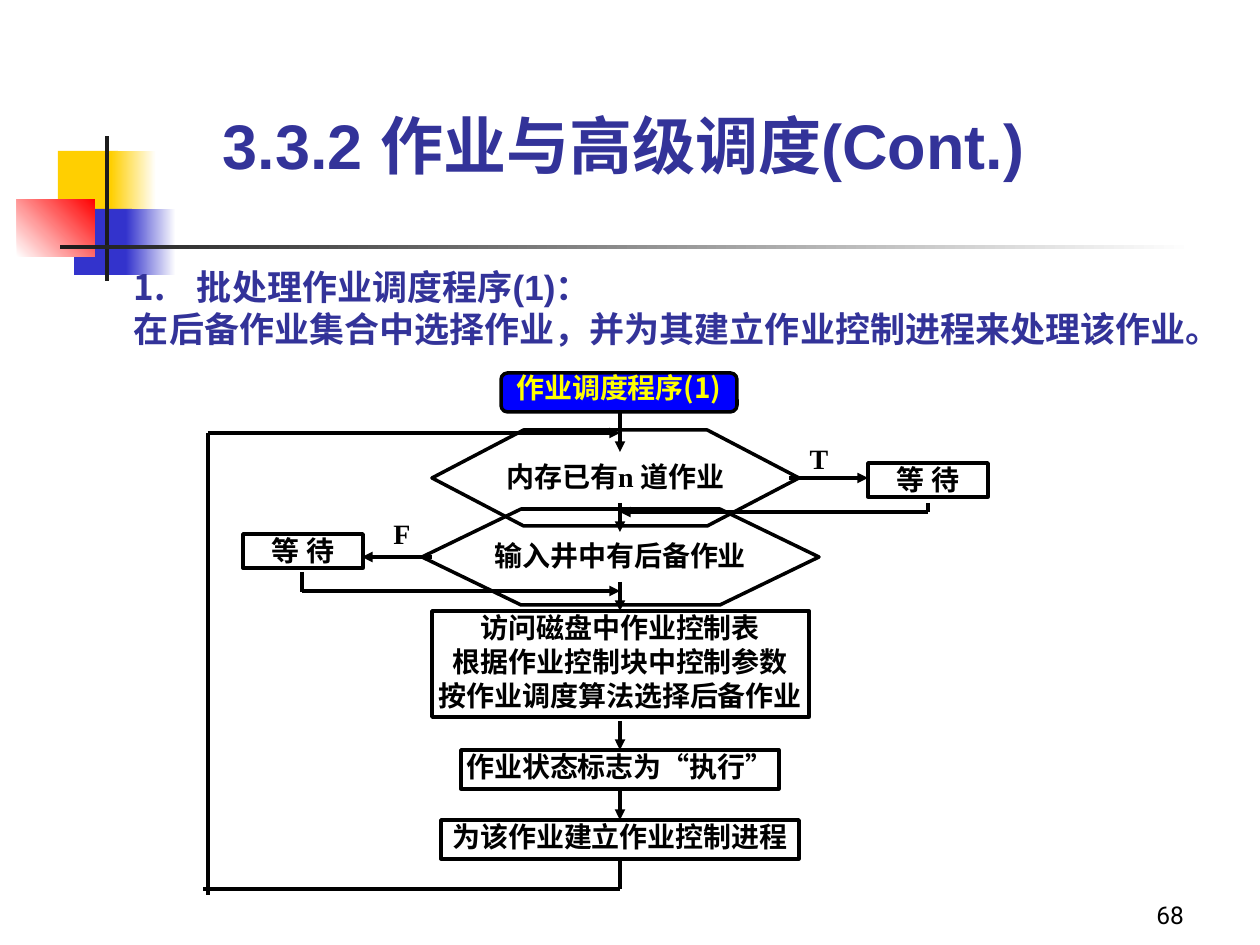
from lxml.etree import SubElement
from pptx import Presentation
from pptx.dml.color import RGBColor
from pptx.enum.shapes import MSO_CONNECTOR, MSO_SHAPE
from pptx.enum.text import MSO_ANCHOR, PP_ALIGN
from pptx.oxml.ns import qn
from pptx.util import Emu, Pt

EMU_PER_PX = 914400 / 126
CJK_FONT = "Noto Sans CJK SC"
SERIF = "Times New Roman"
BLACK, WHITE, NAVY, BLUE = "000000", "FFFFFF", "333399", "3333CC"
YELLOW, RED, CHARCOAL = "FFCF01", "FF0000", "1C1C1C"


def px(length):
    return Emu(round(length * EMU_PER_PX))


def color(value):
    return RGBColor.from_string(value)


class FlowSlide:
    line_width = Pt(2)

    def __init__(self, presentation):
        self.slide = presentation.slides.add_slide(presentation.slide_layouts[6])

    def shape(self, kind, box, fill=None, outline=None):
        shape = self.slide.shapes.add_shape(kind, *map(px, box))
        shape.shadow.inherit = False
        if fill:
            shape.fill.solid()
            shape.fill.fore_color.rgb = color(fill)
        else:
            shape.fill.background()
        if outline:
            shape.line.color.rgb = color(outline)
            shape.line.width = self.line_width
        else:
            shape.line.fill.background()
        return shape

    def gradient(self, box, start, end, angle=0):
        shape = self.shape(MSO_SHAPE.RECTANGLE, box)
        shape.fill.gradient()
        shape.fill.gradient_angle = angle
        for stop, value in zip(shape.fill.gradient_stops, (start, end)):
            stop.color.rgb = color(value)

    def label(self, shape, text, size=16, font=SERIF, ink=BLACK, bold=True,
              align=PP_ALIGN.CENTER, anchor=MSO_ANCHOR.TOP, insets=(0, 0, 0, 0), spacing=None):
        frame = shape.text_frame
        frame.word_wrap = align != PP_ALIGN.CENTER
        frame.vertical_anchor = anchor
        frame.margin_left, frame.margin_top, frame.margin_right, frame.margin_bottom = map(px, insets)
        frame.text = text
        for paragraph in frame.paragraphs:
            paragraph.alignment = align
            if spacing:
                paragraph.line_spacing = spacing
            for run in paragraph.runs:
                run.font.size = Pt(size)
                run.font.bold = bold
                run.font.color.rgb = color(ink)
                run.font.name = font
                SubElement(run.font._element, qn("a:ea"), typeface=CJK_FONT)
        return frame

    def text(self, box, text, **style):
        return self.label(self.slide.shapes.add_textbox(*map(px, box)), text, **style)

    def number(self, paragraph, indent, ink):
        properties = paragraph._p.get_or_add_pPr()
        properties.set("marL", str(px(indent)))
        properties.set("indent", str(-px(indent)))
        bullet_color = SubElement(properties, qn("a:buClr"))
        SubElement(bullet_color, qn("a:srgbClr"), val=ink)
        SubElement(properties, qn("a:buFont"), typeface=CJK_FONT)
        SubElement(properties, qn("a:buAutoNum"), type="arabicPeriod")

    def step(self, box, text, bottom=5):
        shape = self.shape(MSO_SHAPE.RECTANGLE, box, outline=BLACK)
        self.label(shape, text, insets=(0, 0, 0, bottom))

    def decision(self, box, text, slant):
        shape = self.shape(MSO_SHAPE.HEXAGON, box, outline=BLACK)
        shape.adjustments[0] = slant
        self.label(shape, text, anchor=MSO_ANCHOR.MIDDLE, spacing=0.9)

    def line(self, start, end, arrow=False):
        connector = self.slide.shapes.add_connector(
            MSO_CONNECTOR.STRAIGHT, *map(px, start + end))
        connector.line.color.rgb = color(BLACK)
        connector.line.width = self.line_width
        properties = connector._element.spPr
        if arrow:
            SubElement(properties.find(qn("a:ln")), qn("a:tailEnd"), type="triangle")
        SubElement(properties, qn("a:effectLst"))


def add_decoration(page):
    bar = MSO_SHAPE.RECTANGLE
    page.shape(bar, (58, 151, 60, 66), YELLOW)
    page.gradient((111, 151, 45, 66), YELLOW, WHITE)
    page.shape(bar, (74, 209, 58, 66), BLUE)
    page.gradient((126, 209, 50, 66), BLUE, WHITE)
    page.gradient((17, 199, 78, 58), WHITE, RED, 45)
    page.shape(bar, (105, 136, 4, 145), CHARCOAL)
    page.gradient((60, 245, 1134, 4), CHARCOAL, WHITE)


def add_headings(page):
    style = dict(font="Arial", ink=NAVY, align=PP_ALIGN.LEFT, anchor=MSO_ANCHOR.MIDDLE)
    page.text((223, 106, 932, 76), "3.3.2 作业与高级调度(Cont.)", size=36, **style)
    body = page.text(
        (134, 265, 1101, 84),
        "批处理作业调度程序(1)：\n在后备作业集合中选择作业，并为其建立作业控制进程来处理该作业。",
        size=20, **style)
    page.number(body.paragraphs[0], 63, NAVY)
    page.text((935, 872, 262, 63), "68", size=14, font="Roboto", bold=False,
              align=PP_ALIGN.RIGHT, anchor=MSO_ANCHOR.BOTTOM, insets=(13, 6, 13, 6))


def add_flowchart(page):
    start = page.shape(MSO_SHAPE.ROUNDED_RECTANGLE, (501, 373, 236, 39), "0000FF", BLACK)
    page.label(start, "作业调度程序(1)", font=CJK_FONT, ink="FFFF00",
               anchor=MSO_ANCHOR.MIDDLE, insets=(10, 0, 10, 5), spacing=0.9)
    page.decision((432, 430, 367, 96), "内存已有n 道作业", 0.955)
    page.decision((422, 509, 397, 96), "输入井中有后备作业", 1.032)
    for left, top in ((868, 463), (243, 534)):
        page.step((left, top, 120, 34), "等 待", bottom=0)
    for left, top, answer in ((809, 442, "T"), (392, 517, "F")):
        page.text((left, top, 20, 34), answer)
    page.step((432, 611, 377, 106),
              "访问磁盘中作业控制表\n根据作业控制块中控制参数\n按作业调度算法选择后备作业")
    page.step((461, 750, 318, 39), "作业状态标志为“执行”")
    page.step((441, 820, 358, 39), "为该作业建立作业控制进程")

    axis, loop, wait_right, wait_left = 620, 208, 928, 302
    for top, bottom in ((413, 452), (503, 532), (582, 611), (721, 750), (790, 820)):
        page.line((axis, top), (axis, bottom), arrow=True)
    for begin, end, y in ((789, 868, 478), (432, 362, 557), (wait_right, axis, 512),
                          (wait_left, axis, 591), (loop, axis, 433)):
        page.line((begin, y), (end, y), arrow=True)
    for x, top, bottom in ((wait_right, 503, 512), (wait_left, 572, 592),
                           (axis, 859, 889), (loop, 895, 433)):
        page.line((x, top), (x, bottom))
    page.line((axis, 889), (203, 889))


def main():
    presentation = Presentation()
    presentation.slide_width = px(1260)
    presentation.slide_height = px(945)
    page = FlowSlide(presentation)
    add_decoration(page)
    add_headings(page)
    add_flowchart(page)
    presentation.save("out.pptx")


if __name__ == "__main__":
    main()
